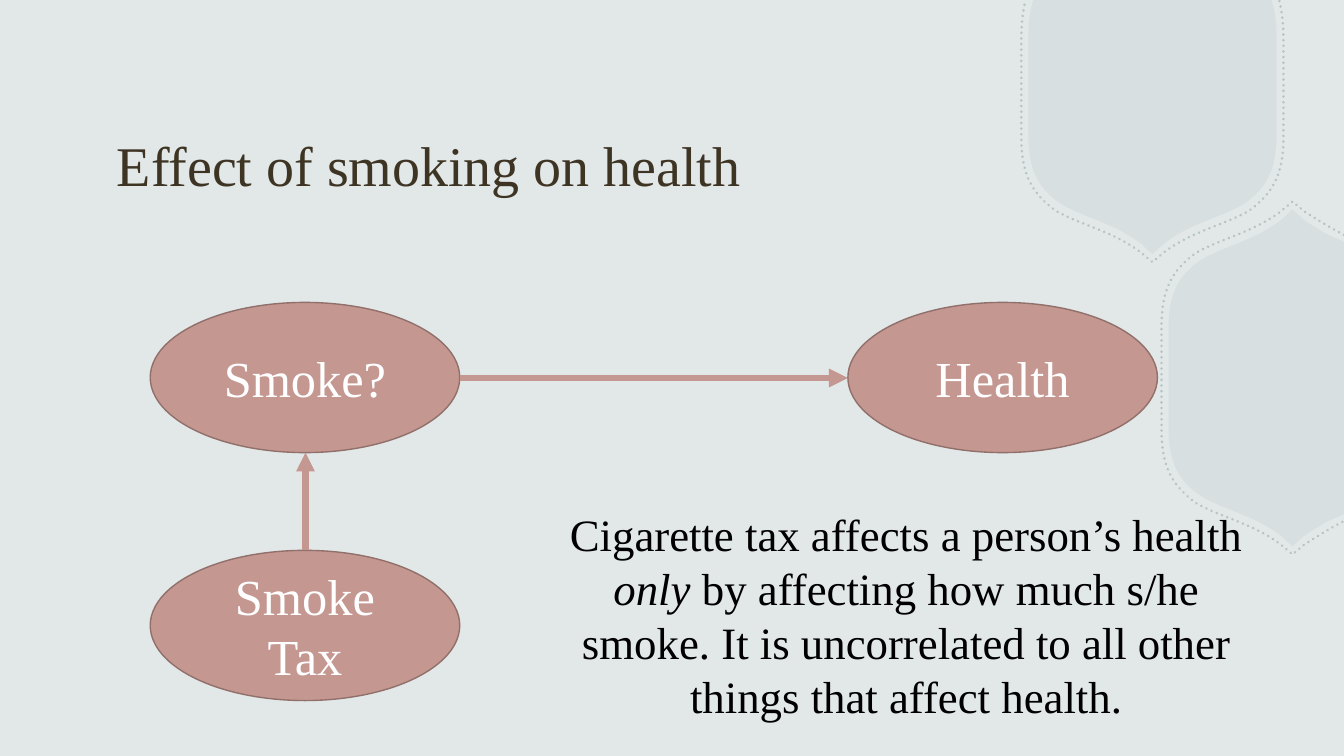
from lxml.etree import SubElement
from pptx import Presentation
from pptx.dml.color import RGBColor
from pptx.enum.dml import MSO_LINE
from pptx.enum.shapes import MSO_CONNECTOR, MSO_SHAPE
from pptx.enum.text import MSO_ANCHOR, MSO_AUTO_SIZE, PP_ALIGN
from pptx.oxml.ns import qn
from pptx.util import Emu, Pt

PX = 9144  # 100 px to the inch
SLIDE_W, SLIDE_H = 1333, 750
FONT = "Times New Roman"
ROSE, ROSE_EDGE, GREY = "C49791", "91706B", "A2B2B5"
NODE_W, NODE_H = 307, 149
LEFT_X, RIGHT_X, TOP_Y, LOW_Y = 149, 841, 300, 546
TOP_CENTRE, SIDE_CENTRE = (1143, 85), (1282, 375)
# Hexagon corner from tip to side: a line (L), then two curves (C) of three points
CORNER_STEPS = "LCC"
FILLED_CORNER = [(0, 167), (11, 157), (38, 136), (68, 131), (91, 117),
                 (113, 102), (123, 84), (123, 49)]
DOTTED_CORNER = [(0, 175), (12, 165), (40, 144), (72, 138), (96, 124),
                 (119, 107), (130, 89), (130, 51)]
# Stretches that run from the slide edge up to the first whole corner
FILLED_TOP_START = [(118, -85), (122, -73), (123, -62), (123, -49)]
DOTTED_TOP_START = [(126, -84), (130, -66), (130, -55), (130, -41)]
FILLED_SIDE_START = [(51, -135), (31, -144), (25, -148), (18, -152), (11, -157)]
DOTTED_SIDE_START = [(51, -142), (37, -149), (20, -160), (12, -165)]


def px(*values):
    return [Emu(v * PX) for v in values]


def rgb(code):
    return RGBColor.from_string(code)


def set_alpha(color_parent, percent):
    """Make the solid colour below an XML element partly transparent."""
    color = color_parent.find(".//" + qn("a:srgbClr"))
    SubElement(color, qn("a:alpha")).set("val", str(percent * 1000))


def write(tf, paragraphs, size, color, align=PP_ALIGN.CENTER):
    """Fill a text frame; each paragraph is a list of (text, italic) runs."""
    tf.word_wrap = True
    for i, runs in enumerate(paragraphs):
        p = tf.paragraphs[0] if i == 0 else tf.add_paragraph()
        p.alignment = align
        for text, italic in runs:
            r = p.add_run()
            r.text = text
            for name, value in dict(name=FONT, size=Pt(size), italic=italic).items():
                setattr(r.font, name, value)
            r.font.color.rgb = rgb(color)


def mirrored(half, steps, sx, sy):
    """Complete half an outline with its reflection, joined by a line if apart."""
    other = [(sx * x, sy * y) for x, y in reversed(half)]
    if other[0] == half[-1]:
        return half + other[1:], steps + steps[::-1]
    return half + other, steps + "L" + steps[::-1]


def top_outline(start, start_steps, corner):
    return mirrored(start + corner[::-1], start_steps + "L" + CORNER_STEPS[::-1], -1, 1)


def side_outline(start, start_steps, corner):
    upper_left = [(-x, -y) for x, y in corner]
    return mirrored(start + upper_left, start_steps + "L" + CORNER_STEPS, 1, -1)


def bend(sp, steps):
    """Join three line points into one cubic curve wherever steps has a C."""
    lines = iter(list(sp._element.iter(qn("a:lnTo"))))
    for step in steps:
        first = next(lines)
        if step == "C":
            first.tag = qn("a:cubicBezTo")
            for _ in range(2):
                extra = next(lines)
                first.append(extra[0])
                extra.getparent().remove(extra)


def add_hexagon(slide, centre, outline, filled):
    offsets, steps = outline
    points = [(centre[0] + x, centre[1] + y) for x, y in offsets]
    builder = slide.shapes.build_freeform(*points[0], scale=PX)
    builder.add_line_segments(points[1:], close=filled)
    sp = builder.convert_to_shape()
    bend(sp, steps)
    sp.shadow.inherit = False
    if filled:
        sp.fill.solid()
        sp.fill.fore_color.rgb = rgb(GREY)
        set_alpha(sp.fill._xPr, 15)
        sp.line.fill.background()
    else:
        sp.fill.background()
        sp.line.color.rgb = rgb(GREY)
        sp.line.width, sp.line.dash_style = Pt(2), MSO_LINE.ROUND_DOT
        sp.line._ln.set("cap", "rnd")
        set_alpha(sp.line._ln, 65)


def add_node(slide, x, y, *lines):
    sp = slide.shapes.add_shape(MSO_SHAPE.OVAL, *px(x, y, NODE_W, NODE_H))
    sp.shadow.inherit = False
    sp.fill.solid()
    sp.fill.fore_color.rgb = rgb(ROSE)
    sp.line.color.rgb, sp.line.width = rgb(ROSE_EDGE), Pt(1)
    sp.text_frame.vertical_anchor = MSO_ANCHOR.MIDDLE
    write(sp.text_frame, [[(line, False)] for line in lines], 36, "FFFFFF")


def add_arrow(slide, *ends):
    arrow = slide.shapes.add_connector(MSO_CONNECTOR.STRAIGHT, *px(*ends))
    arrow.line.color.rgb, arrow.line.width = rgb(ROSE), Pt(4.5)
    SubElement(arrow.line._ln, qn("a:tailEnd")).set("type", "triangle")
    SubElement(arrow._element.spPr, qn("a:effectLst"))


def add_title(slide, text):
    title = slide.shapes.title
    box = dict(zip(("left", "top", "width", "height"), px(106, 105, 993, 116)))
    for name, value in box.items():
        setattr(title, name, value)
    title.text_frame.vertical_anchor = MSO_ANCHOR.MIDDLE
    write(title.text_frame, [[(text, False)]], 40, "3E3423", PP_ALIGN.LEFT)
    slide.shapes._spTree.append(title._element)  # in front of the hexagons


def add_explanation(slide, runs):
    tf = slide.shapes.add_textbox(*px(555, 498, 688, 226)).text_frame
    write(tf, [runs], 32, "000000")
    tf.auto_size = MSO_AUTO_SIZE.SHAPE_TO_FIT_TEXT


def main():
    prs = Presentation()
    prs.slide_width, prs.slide_height = px(SLIDE_W, SLIDE_H)
    slide = prs.slides.add_slide(prs.slide_layouts[5])
    slide.background.fill.solid()
    slide.background.fill.fore_color.rgb = rgb("E2E7E8")

    add_hexagon(slide, TOP_CENTRE, top_outline(FILLED_TOP_START, "C", FILLED_CORNER), True)
    add_hexagon(slide, SIDE_CENTRE, side_outline(FILLED_SIDE_START, "LC", FILLED_CORNER), True)
    add_hexagon(slide, TOP_CENTRE, top_outline(DOTTED_TOP_START, "C", DOTTED_CORNER), False)
    add_hexagon(slide, SIDE_CENTRE, side_outline(DOTTED_SIDE_START, "C", DOTTED_CORNER), False)
    add_title(slide, "Effect of smoking on health")

    add_node(slide, LEFT_X, TOP_Y, "Smoke?")
    add_node(slide, RIGHT_X, TOP_Y, "Health")
    add_node(slide, LEFT_X, LOW_Y, "Smoke", "Tax")
    mid_x, mid_y = LEFT_X + (NODE_W + 1) // 2, TOP_Y + (NODE_H + 1) // 2
    add_arrow(slide, LEFT_X + NODE_W, mid_y, RIGHT_X, mid_y)
    add_arrow(slide, mid_x, LOW_Y, mid_x, TOP_Y + NODE_H)

    add_explanation(slide, [
        ("Cigarette tax affects a person’s health ", False),
        ("only", True),
        (" by affecting how much s/he smoke. It is uncorrelated to all other "
         "things that affect health.", False),
    ])
    prs.save("out.pptx")


if __name__ == "__main__":
    main()
